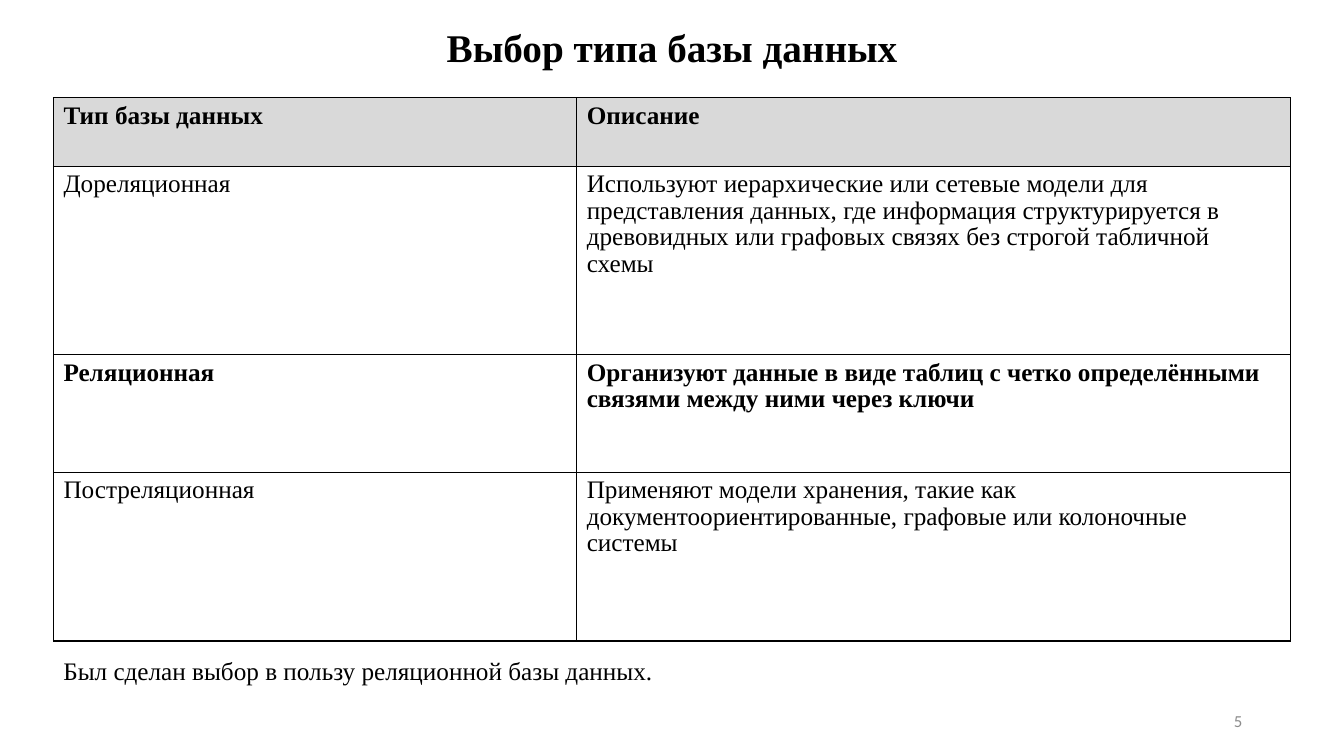
from dataclasses import dataclass

from lxml import etree
from pptx import Presentation
from pptx.dml.color import RGBColor
from pptx.enum.text import MSO_ANCHOR, PP_ALIGN
from pptx.oxml.ns import qn
from pptx.util import Inches, Pt

LEFT, CENTER, RIGHT = PP_ALIGN.LEFT, PP_ALIGN.CENTER, PP_ALIGN.RIGHT
TOP, MIDDLE = MSO_ANCHOR.TOP, MSO_ANCHOR.MIDDLE


@dataclass(frozen=True)
class Theme:
    """Fonts, type sizes and colours of the slide."""
    serif: str = "Times New Roman"
    sans: str = "Calibri"
    title_size: int = 28
    body_size: int = 18
    number_size: int = 12
    ink: str = "000000"
    muted: str = "8C8C8C"
    header_fill: str = "D9D9D9"
    body_fill: str = "FFFFFF"
    border_width: int = 1
    cell_spacing: float = 0.95


THEME = Theme()
COLUMN_WIDTHS = (5.19, 7.08)
ROW_HEIGHTS = (0.68, 1.87, 1.17, 1.67)
BOLD_ROWS = (0, 2)
DATABASE_TYPES = (
    ("Тип базы данных", "Описание"),
    ("Дореляционная",
     "Используют иерархические или сетевые модели для представления данных, "
     "где информация структурируется в древовидных или графовых связях "
     "без строгой табличной схемы"),
    ("Реляционная",
     "Организуют данные в виде таблиц с четко определёнными связями "
     "между ними через ключи"),
    ("Постреляционная",
     "Применяют модели хранения, такие как документоориентированные, "
     "графовые или колоночные системы"),
)


def write(frame, text, size, bold=False, font=THEME.serif, color=THEME.ink, align=LEFT):
    """Add one styled run to the first paragraph and return the paragraph."""
    paragraph = frame.paragraphs[0]
    paragraph.alignment = align
    run = paragraph.add_run()
    run.text = text
    run.font.name = font
    run.font.size = Pt(size)
    run.font.bold = bold
    run.font.color.rgb = RGBColor.from_string(color)
    return paragraph


def add_caption(slide, box, text, size, anchor=TOP, **style):
    """Place a wrapped line of text in the given box."""
    frame = slide.shapes.add_textbox(*map(Inches, box)).text_frame
    frame.word_wrap = True
    frame.vertical_anchor = anchor
    write(frame, text, size, **style)


def outline_cell(cell):
    """Draw a solid border on all four sides of a cell."""
    properties = cell._tc.get_or_add_tcPr()
    for position, side in enumerate(("a:lnL", "a:lnR", "a:lnT", "a:lnB")):
        line = etree.Element(qn(side), w=str(Pt(THEME.border_width)))
        fill = etree.SubElement(line, qn("a:solidFill"))
        etree.SubElement(fill, qn("a:srgbClr"), val=THEME.ink)
        properties.insert(position, line)


def add_comparison(slide, box):
    """Place the table of database types in the given box."""
    table = slide.shapes.add_table(
        len(ROW_HEIGHTS), len(COLUMN_WIDTHS), *map(Inches, box)).table
    for column, width in zip(table.columns, COLUMN_WIDTHS):
        column.width = Inches(width)
    for index, (row, height) in enumerate(zip(table.rows, ROW_HEIGHTS)):
        row.height = Inches(height)
        fill = THEME.body_fill if index else THEME.header_fill
        for cell, text in zip(row.cells, DATABASE_TYPES[index]):
            cell.fill.solid()
            cell.fill.fore_color.rgb = RGBColor.from_string(fill)
            outline_cell(cell)
            paragraph = write(cell.text_frame, text, THEME.body_size, index in BOLD_ROWS)
            paragraph.line_spacing = THEME.cell_spacing


def build_slide(slide, width):
    """Lay out the title, table, conclusion and page number."""
    margin, content_width = 0.53, sum(COLUMN_WIDTHS)
    add_caption(slide, (0, 0.18, width, 0.57), "Выбор типа базы данных",
                THEME.title_size, bold=True, align=CENTER)
    add_comparison(slide, (margin, 0.97, content_width, sum(ROW_HEIGHTS)))
    add_caption(slide, (margin, 6.45, content_width, 0.4),
                "Был сделан выбор в пользу реляционной базы данных.", THEME.body_size)
    add_caption(slide, (9.42, 6.95, 3, 0.4), "5", THEME.number_size, anchor=MIDDLE,
                font=THEME.sans, color=THEME.muted, align=RIGHT)


def main():
    """Create the presentation and save it."""
    deck = Presentation()
    width, height = 13.33, 7.5
    deck.slide_width, deck.slide_height = Inches(width), Inches(height)
    build_slide(deck.slides.add_slide(deck.slide_layouts[6]), width)
    deck.save("out.pptx")


if __name__ == "__main__":
    main()
